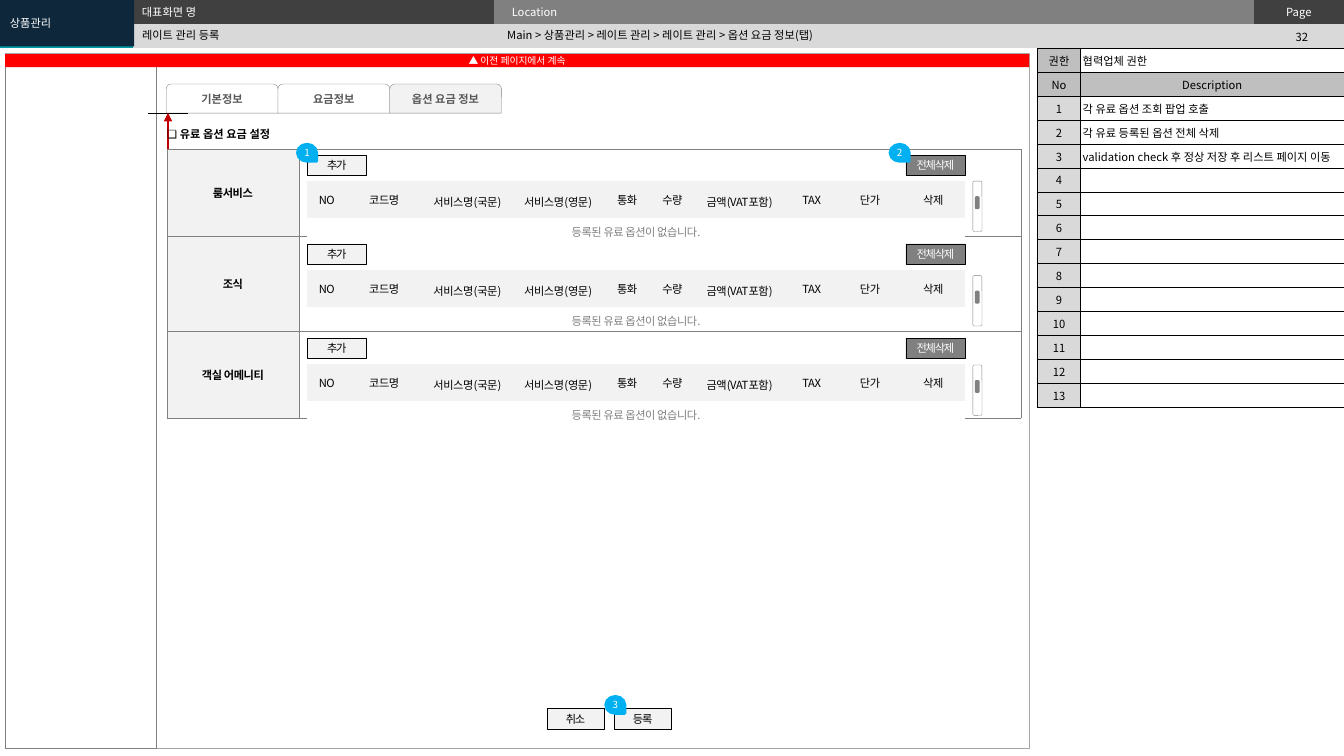
from lxml.etree import SubElement
from pptx import Presentation
from pptx.dml.color import RGBColor
from pptx.enum.shapes import MSO_CONNECTOR, MSO_SHAPE
from pptx.enum.text import MSO_ANCHOR, MSO_AUTO_SIZE, PP_ALIGN
from pptx.oxml.ns import qn
from pptx.util import Pt

FONT = "Noto Sans CJK KR"
COLORS = {
    "white": "FFFFFF", "black": "000000", "navy": "0E273B", "teal": "009CA6",
    "dark": "404040", "tab_text": "595959", "gray": "808080", "frame": "A6A6A6",
    "silver": "BFBFBF", "light": "D9D9D9", "pale": "F2F2F2",
    "red": "FF0000", "arrow": "C00000", "sky": "00B0F0",
}
NO_TABLE_STYLE = "{2D5ABB26-0587-4C30-8999-92F81FD0307C}"
LEFT, CENTER = PP_ALIGN.LEFT, PP_ALIGN.CENTER
TOP, MIDDLE = MSO_ANCHOR.TOP, MSO_ANCHOR.MIDDLE
CHARGE_COLUMNS = [("NO", 28.1), ("코드명", 54), ("서비스명(국문)", 64.8),
                  ("서비스명(영문)", 64.8), ("통화", 33.8), ("수량", 31),
                  ("금액(VAT포함)", 64.8), ("TAX", 38.2), ("단가", 45.2),
                  ("삭제", 45.3)]
DESCRIPTIONS = ["각 유료 옵션 조회 팝업 호출", "각 유료 등록된 옵션 전체 삭제",
                "validation check 후 정상 저장 후 리스트 페이지 이동"] + [""] * 10


def rgb(name):
    return RGBColor.from_string(COLORS[name])


def write(frame, text, color="black", size=8, bold=False, align=LEFT, spacing=0):
    para = frame.paragraphs[0]
    para.alignment = align
    if not text:
        para._p.get_or_add_endParaRPr().set("sz", str(size * 100))
        return
    para.text = text
    font = para.font
    font.name, font.size, font.bold = FONT, Pt(size), bold
    font.color.rgb = rgb(color)
    SubElement(font._element, qn("a:ea")).set("typeface", FONT)
    if spacing:
        font._element.set("spc", str(round(spacing * 100)))


def set_margins(target, side, top, bottom=None):
    target.margin_left = target.margin_right = Pt(side)
    target.margin_top = Pt(top)
    target.margin_bottom = Pt(top if bottom is None else bottom)


def add_box(page, box, fill=None, line=None, width=0.25, kind=MSO_SHAPE.RECTANGLE):
    shape = page.shapes.add_shape(kind, *map(Pt, box))
    shape.shadow.inherit = False
    if fill:
        shape.fill.solid()
        shape.fill.fore_color.rgb = rgb(fill)
    else:
        shape.fill.background()
    if line:
        shape.line.color.rgb = rgb(line)
        shape.line.width = Pt(width)
    else:
        shape.line.fill.background()
    shape.text_frame.vertical_anchor = MIDDLE
    return shape


def add_label(page, box, text, anchor=MIDDLE, **style):
    frame = page.shapes.add_textbox(*map(Pt, box)).text_frame
    frame.word_wrap = True
    frame.vertical_anchor = anchor
    write(frame, text, **style)


def add_grid(page, left, top, widths, heights):
    size = (left, top, sum(widths), sum(heights))
    table = page.shapes.add_table(len(heights), len(widths), *map(Pt, size)).table
    table.first_row = table.horz_banding = False
    table._tbl.tblPr.find(qn("a:tableStyleId")).text = NO_TABLE_STYLE
    for column, width in zip(table.columns, widths):
        column.width = Pt(width)
    for row, height in zip(table.rows, heights):
        row.height = Pt(height)
    return table


def fill_cell(cell, text="", fill=None, border=None, width=0.25, anchor=MIDDLE, **style):
    if border:
        for side in ("lnL", "lnR", "lnT", "lnB"):
            edge = SubElement(cell._tc.get_or_add_tcPr(), qn("a:" + side),
                              w=str(Pt(width)))
            solid = SubElement(edge, qn("a:solidFill"))
            SubElement(solid, qn("a:srgbClr"), val=COLORS[border])
    if fill:
        cell.fill.solid()
        cell.fill.fore_color.rgb = rgb(fill)
    else:
        cell.fill.background()
    cell.vertical_anchor = anchor
    write(cell.text_frame, text, **style)


def add_button(page, box, text, fill="pale", color="black"):
    button = add_box(page, box, fill, "black")
    set_margins(button.text_frame, 0, 0)
    write(button.text_frame, text, color, align=CENTER, spacing=-0.9)


def add_marker(page, left, top, number):
    marker = add_box(page, (left, top, 12.2, 13.7), "sky", "sky", 2, MSO_SHAPE.TEAR)
    marker.rotation = 90
    frame = marker.text_frame
    set_margins(frame, 0, 0)
    frame._txBody.bodyPr.set("vert", "vert270")
    write(frame, number, "white", 7, align=CENTER)


def add_line(page, start, end, color, width, arrow=False):
    line = page.shapes.add_connector(MSO_CONNECTOR.STRAIGHT, *map(Pt, start + end))
    line.line.color.rgb = rgb(color)
    line.line.width = Pt(width)
    if arrow:
        SubElement(line.line._get_or_add_ln(), qn("a:tailEnd"), type="triangle")
    SubElement(line._element.spPr, qn("a:effectLst"))


def build_header(page, left, top):
    table = add_grid(page, left, top, [95.2, 257.4, 543, 64.4], [17.1, 17.1])
    fills = [["teal", "dark", "gray", "dark"], ["teal"] + ["light"] * 3]
    captions = {(0, 2): ("Location", LEFT), (0, 3): ("Page", CENTER)}
    for r, row in enumerate(fills):
        for c, fill in enumerate(row):
            text, align = captions.get((r, c), ("", LEFT))
            cell = table.cell(r, c)
            set_margins(cell, 13, 2.8)
            fill_cell(cell, text, fill, anchor=TOP, color="white", align=align)
    table.cell(0, 0).merge(table.cell(1, 0))

    add_label(page, (left + 898.6, top + 18.2, 62.6, 17.3), "32", TOP, align=CENTER)
    # Bring the title in front of the header band
    title = page.shapes.title
    page.shapes._spTree.append(title._element)
    title.left, title.top, title.width, title.height = map(
        Pt, (left + 94.3, top + 17.3, 261.4, 15.8))
    title.text_frame.auto_size = MSO_AUTO_SIZE.NONE
    title.text_frame.vertical_anchor = MIDDLE
    write(title.text_frame, "레이트 관리 등록")
    add_label(page, (left + 355.2, top + 16.6, 531.4, 17.3),
              "Main > 상품관리 > 레이트 관리 > 레이트 관리 > 옵션 요금 정보(탭)")
    add_label(page, (left + 94.3, top, 260.6, 15.8), "대표화면 명", TOP, color="white")
    menu = add_box(page, (left, top, 95.8, 33.1), "navy")
    write(menu.text_frame, "상품관리", "white")


def build_descriptions(page, left, top):
    rows = [("권한", "협력업체 권한"), ("No", "Description")]
    rows += [(str(n), text) for n, text in enumerate(DESCRIPTIONS, 1)]
    table = add_grid(page, left, top, [31, 188], [17.1] * len(rows))
    for r, (number, text) in enumerate(rows):
        for c, value in enumerate((number, text)):
            cell = table.cell(r, c)
            set_margins(cell, 1.4, 2.8)
            heading = r == 1
            fill = "silver" if heading or (r, c) == (0, 0) else None if c else "light"
            fill_cell(cell, value, fill, "black", 0.5,
                      anchor=TOP if c or r < 2 else MIDDLE,
                      align=LEFT if c and not heading else CENTER)


def build_frame(page, left, top, width, height):
    add_box(page, (left, top, width, height), line="frame")
    add_box(page, (left, top + 1.4, 108, height - 1.4), line="gray")


def build_tabs(page, left, top):
    for i, name in enumerate(["기본정보", "요금정보", "옵션 요금 정보"]):
        tab = add_box(page, (left + i * 79.8, top, 79.8, 20.8),
                      "pale" if i == 2 else "white", "gray",
                      kind=MSO_SHAPE.ROUND_2_SAME_RECTANGLE)
        write(tab.text_frame, name, "tab_text", bold=True, align=CENTER)
    # Arrow up to the tab row
    add_line(page, (left + 15.4, top + 20.9), (left - 13, top + 20.9), "black", 0.5)
    add_line(page, (left + 1.2, top + 50), (left + 1.2, top + 20.7), "arrow", 1, True)


def build_option(page, left, top, scroll_shift):
    """One option block: buttons, charge table and scroll bar."""
    add_button(page, (left, top, 42.3, 14.5), "추가")
    widths = [width for _, width in CHARGE_COLUMNS]
    table = add_grid(page, left, top + 18.6, widths, [26.4, 16.4])
    for c, (name, _) in enumerate(CHARGE_COLUMNS):
        cell = table.cell(0, c)
        if "(" in name:
            set_margins(cell, 7.2, 3.2, 0)
        fill_cell(cell, name, "pale", align=CENTER, spacing=-0.3)
        set_margins(table.cell(1, c), 7.2, 3.6, 1.2)
        fill_cell(table.cell(1, c), "" if c else "등록된 유료 옵션이 없습니다.",
                  "white", color="gray", align=CENTER, spacing=-0.3)
    table.cell(1, 0).merge(table.cell(1, len(widths) - 1))

    bar_left, bar_top = left + 475.5, top + 18.6 + scroll_shift
    rounded = MSO_SHAPE.ROUNDED_RECTANGLE
    add_box(page, (bar_left, bar_top, 6.5, 36), "white", "gray", kind=rounded)
    add_box(page, (bar_left + 2.4, bar_top + 11.8, 1.5, 7.2), "gray", "gray", 2, rounded)
    add_button(page, (left + 427.7, top, 42.3, 14.5), "전체삭제", "gray", "white")


def build_options(page, left, top):
    table = add_grid(page, left, top, [94.5, 515.5], [62.4, 67.8, 62])
    for r, name in enumerate(["룸서비스", "조식", "객실 어메니티"]):
        fill_cell(table.cell(r, 0), name, "pale", "gray",
                  bold=True, align=CENTER, spacing=-0.3)
        fill_cell(table.cell(r, 1), "", "white", "gray")
    add_label(page, (left - 6.8, top - 19.5, 129.6, 17.3),
              "❏ 유료 옵션 요금 설정", TOP, bold=True)
    for offset, scroll_shift in ((4.2, 0), (67.7, 4), (135, 0.5)):
        build_option(page, left + 100.2, top + offset, scroll_shift)
    add_marker(page, left + 94, top - 4.3, "1")
    add_marker(page, left + 517.3, top - 4.3, "2")


def build_footer(page, left, top):
    for i, name in enumerate(["취소", "등록"]):
        add_button(page, (left + i * 48, top, 41, 15), name)
    add_marker(page, left + 42.8, top - 9.2, "3")


def main():
    deck = Presentation()
    deck.slide_width, deck.slide_height = Pt(960), Pt(540)
    page = deck.slides.add_slide(deck.slide_layouts[5])
    build_header(page, 0, 0)
    build_frame(page, 3.6, 38.2, 731.5, 496.1)
    build_descriptions(page, 741, 34.5)
    build_tabs(page, 118.8, 60)
    build_options(page, 119.2, 106.6)
    # Continuation banner
    banner = add_box(page, (3.6, 38.6, 731.5, 9.4), "red")
    set_margins(banner.text_frame, 7.2, 0)
    write(banner.text_frame, "▲ 이전 페이지에서 계속", "white", 7, align=CENTER)
    build_footer(page, 390.6, 505.9)
    deck.save("out.pptx")


if __name__ == "__main__":
    main()
